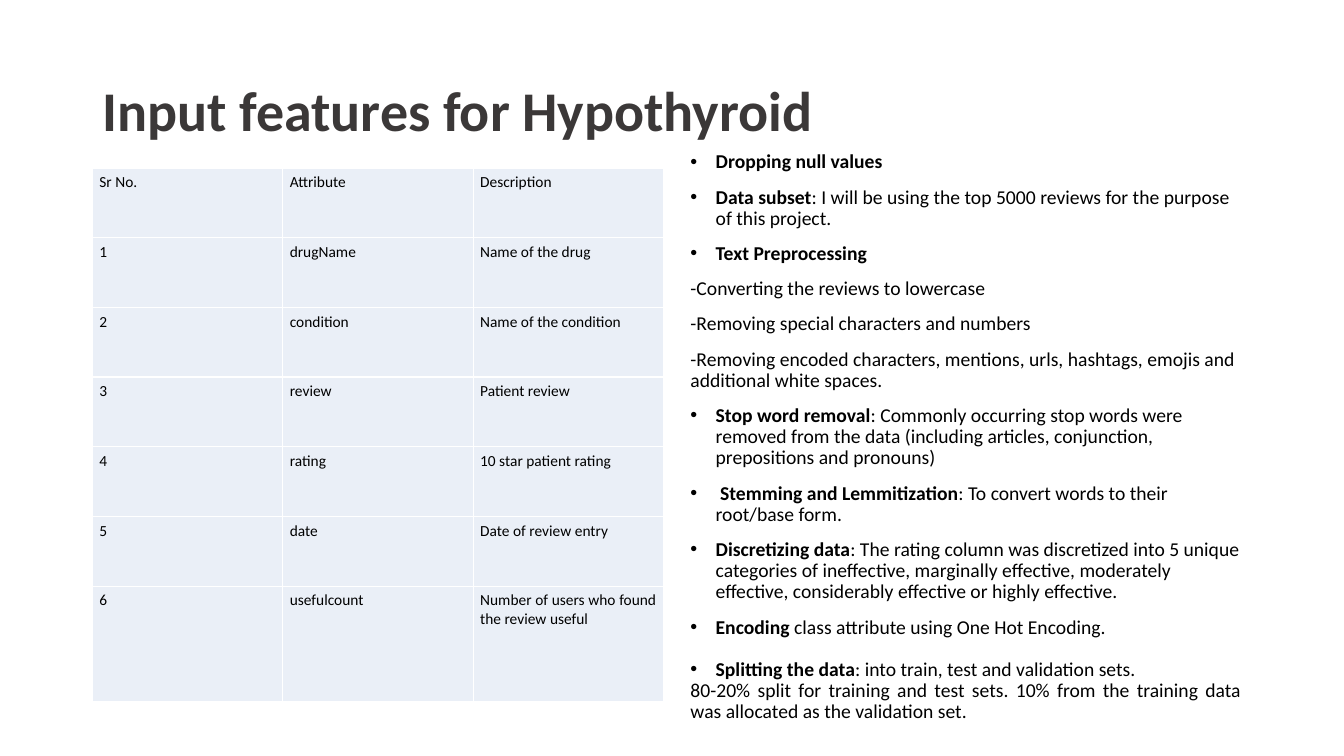
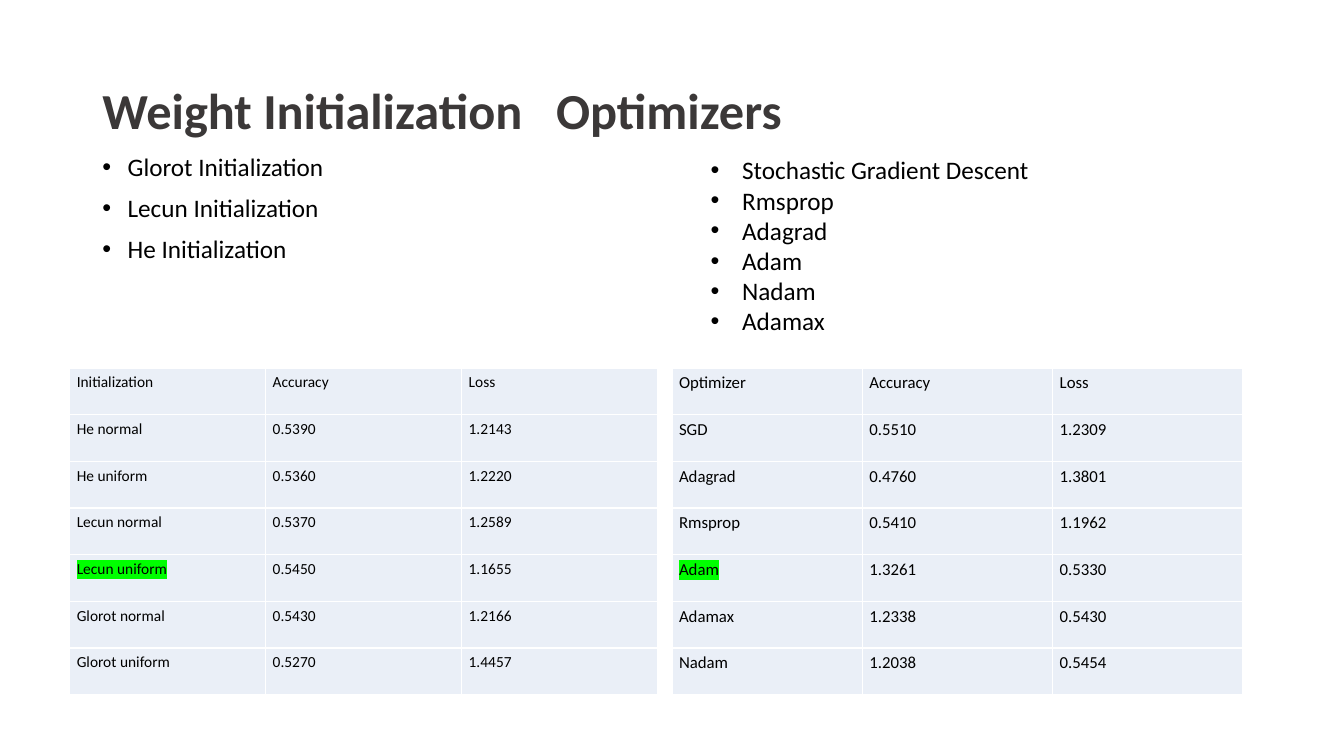
"""Build two slides on input features, weight initialization and optimizers."""
import dataclasses

import pptx
import pptx.dml.color
import pptx.enum.text
import pptx.oxml
import pptx.oxml.ns
import pptx.util

ALIGN = pptx.enum.text.PP_ALIGN
CELL = pptx.util.Pt(6)
COLS, ROWS = 160, 90


@dataclasses.dataclass(frozen=True)
class Theme:
    face: str = "Calibri"
    ink: str = "000000"
    head: str = "3B3838"
    fill: str = "EAEFF7"
    mark: str = "00FF00"
    big: int = 40
    mid: int = 36
    list: int = 18
    note: int = 14
    tight: float = 0.9


theme = Theme()
rgb = pptx.dml.color.RGBColor.from_string


def write(shape, box, items, size, color=theme.ink, gap=0, hang=0, lead=theme.tight):
    """Place a placeholder and fill it with (bullet, bold part, plain part) items."""
    shape.left, shape.top, shape.width, shape.height = [int(n * CELL) for n in box]
    frame = shape.text_frame
    frame.word_wrap = True
    frame.auto_size = pptx.enum.text.MSO_AUTO_SIZE.NONE
    for i, (dot, bold, plain) in enumerate(items):
        para = frame.paragraphs[0] if i == 0 else frame.add_paragraph()
        para.alignment = ALIGN.LEFT
        para.line_spacing = lead
        para.space_before = pptx.util.Pt(gap)
        props = para._p.get_or_add_pPr()
        props.set("marL", str(int(hang * CELL) if dot else 0))
        props.set("indent", str(int(-hang * CELL) if dot else 0))
        if not dot:
            props.append(pptx.oxml.parse_xml(
                f'<a:buNone {pptx.oxml.ns.nsdecls("a")}/>'))
        for text, strong in ((bold, True), (plain, False)):
            if text:
                run = para.add_run()
                run.text = text
                run.font.name, run.font.size = theme.face, pptx.util.Pt(size)
                run.font.bold, run.font.color.rgb = strong, rgb(color)


def grid(slide, box, rows, size, tall, pick=None):
    """Add a plain table with equal columns and light up the picked label."""
    shape = slide.shapes.add_table(
        len(rows), len(rows[0]), *[int(n * CELL) for n in box])
    table = shape.table
    table.first_row = table.horz_banding = False
    for line, high in zip(table.rows, tall):
        line.height = int(high * CELL)
    for r, row in enumerate(rows):
        for c, text in enumerate(row):
            cell = table.cell(r, c)
            cell.fill.solid()
            cell.fill.fore_color.rgb = rgb(theme.fill)
            cell.margin_left = cell.margin_right = pptx.util.Inches(0.07)
            cell.margin_top = cell.margin_bottom = pptx.util.Inches(0.05)
            cell.text_frame.text = text
            para = cell.text_frame.paragraphs[0]
            para.alignment = ALIGN.JUSTIFY
            font = para.runs[0].font
            font.name, font.size = theme.face, pptx.util.Pt(size)
            font.color.rgb = rgb(theme.ink)
            if text == pick:
                props = para.runs[0]._r.get_or_add_rPr()
                props.find(pptx.oxml.ns.qn("a:solidFill")).addnext(
                    pptx.oxml.parse_xml(
                        f'<a:highlight {pptx.oxml.ns.nsdecls("a")}>'
                        f'<a:srgbClr val="{theme.mark}"/></a:highlight>'))


deck = pptx.Presentation()
deck.slide_width, deck.slide_height = COLS * CELL, ROWS * CELL

pages = []
for kind, text, size in (
    (1, "Input features for Hypothyroid", theme.big),
    (3, "Weight Initialization\tOptimizers", theme.mid),
):
    page = deck.slides.add_slide(deck.slide_layouts[kind])
    write(page.shapes.title, (11, 4.8, 138, 17.4), [(False, text, "")], size, theme.head)
    page.shapes.title.text_frame.vertical_anchor = pptx.enum.text.MSO_ANCHOR.MIDDLE
    pages.append(page)
first, second = pages

steps = [
    (True, "Dropping null values", ""),
    (True, "Data subset",
     ": I will be using the top 5000 reviews for the purpose of this project."),
    (True, "Text Preprocessing", ""),
    (False, "", "-Converting the reviews to lowercase"),
    (False, "", "-Removing special characters and numbers"),
    (False, "", "-Removing encoded characters, mentions, urls, hashtags, emojis "
     "and additional white spaces."),
    (True, "Stop word removal", ": Commonly occurring stop words were removed from "
     "the data (including articles, conjunction, prepositions and pronouns)"),
    (True, " Stemming and Lemmitization",
     ": To convert words to their root/base form."),
    (True, "Discretizing data", ": The rating column was discretized into 5 unique "
     "categories of ineffective, marginally effective, moderately effective, "
     "considerably effective or highly effective."),
    (True, "Encoding", " class attribute using One Hot Encoding."),
    (True, "Splitting the data", ": into train, test and validation sets."),
    (False, "", "80-20% split for training and test sets. 10% from the training "
     "data was allocated as the validation set."),
]
body = first.placeholders[1]
write(body, (81, 17.5, 68, 63.6), steps, theme.note, gap=10, hang=3)
for para, gap in zip(body.text_frame.paragraphs[-2:], (15, 0)):
    para.alignment = ALIGN.JUSTIFY
    para.space_before = pptx.util.Pt(gap)

traits = [
    ("Sr No.", "Attribute", "Description"),
    ("1", "drugName", "Name of the drug"),
    ("2", "condition", "Name of the condition"),
    ("3", "review", "Patient review"),
    ("4", "rating", "10 star patient rating"),
    ("5", "date", "Date of review entry"),
    ("6", "usefulcount", "Number of users who found the review useful"),
]
grid(first, (11, 20, 68, 63.6), traits, 11, [8.3] * 6 + [13.8])

stop = int(77.2 * CELL)
second.shapes.title.text_frame.paragraphs[0]._p.get_or_add_pPr().append(
    pptx.oxml.parse_xml(
        f'<a:tabLst {pptx.oxml.ns.nsdecls("a")}><a:tab pos="{stop}" algn="l"/></a:tabLst>'))

starts = ["Glorot Initialization", "Lecun Initialization", "He Initialization"]
tuners = ["Stochastic Gradient Descent", "Rmsprop", "Adagrad", "Adam", "Nadam", "Adamax"]
write(second.placeholders[1], (11, 17.8, 68, 63.2),
      [(True, "", name) for name in starts], theme.list, gap=10, hang=3)
write(second.placeholders[2], (83.4, 17.8, 58, 30.2),
      [(True, "", name) for name in tuners], theme.list, hang=3.75, lead=1.0)

inits = [
    ("Initialization", "Accuracy", "Loss"),
    ("He normal", "0.5390", "1.2143"),
    ("He uniform", "0.5360", "1.2220"),
    ("Lecun normal", "0.5370", "1.2589"),
    ("Lecun uniform", "0.5450", "1.1655"),
    ("Glorot normal", "0.5430", "1.2166"),
    ("Glorot uniform", "0.5270", "1.4457"),
]
scores = [
    ("Optimizer", "Accuracy", "Loss"),
    ("SGD", "0.5510", "1.2309"),
    ("Adagrad", "0.4760", "1.3801"),
    ("Rmsprop", "0.5410", "1.1962"),
    ("Adam", "1.3261", "0.5330"),
    ("Adamax", "1.2338", "0.5430"),
    ("Nadam", "1.2038", "0.5454"),
]
for left, wide, rows, size, pick in (
    (8.3, 70, inits, 11, "Lecun uniform"),
    (80, 68, scores, 12, "Adam"),
):
    high = 38.9
    grid(second, (left, 43.8, wide, high), rows, size, [high / len(rows)] * len(rows), pick)

deck.save("out.pptx")
